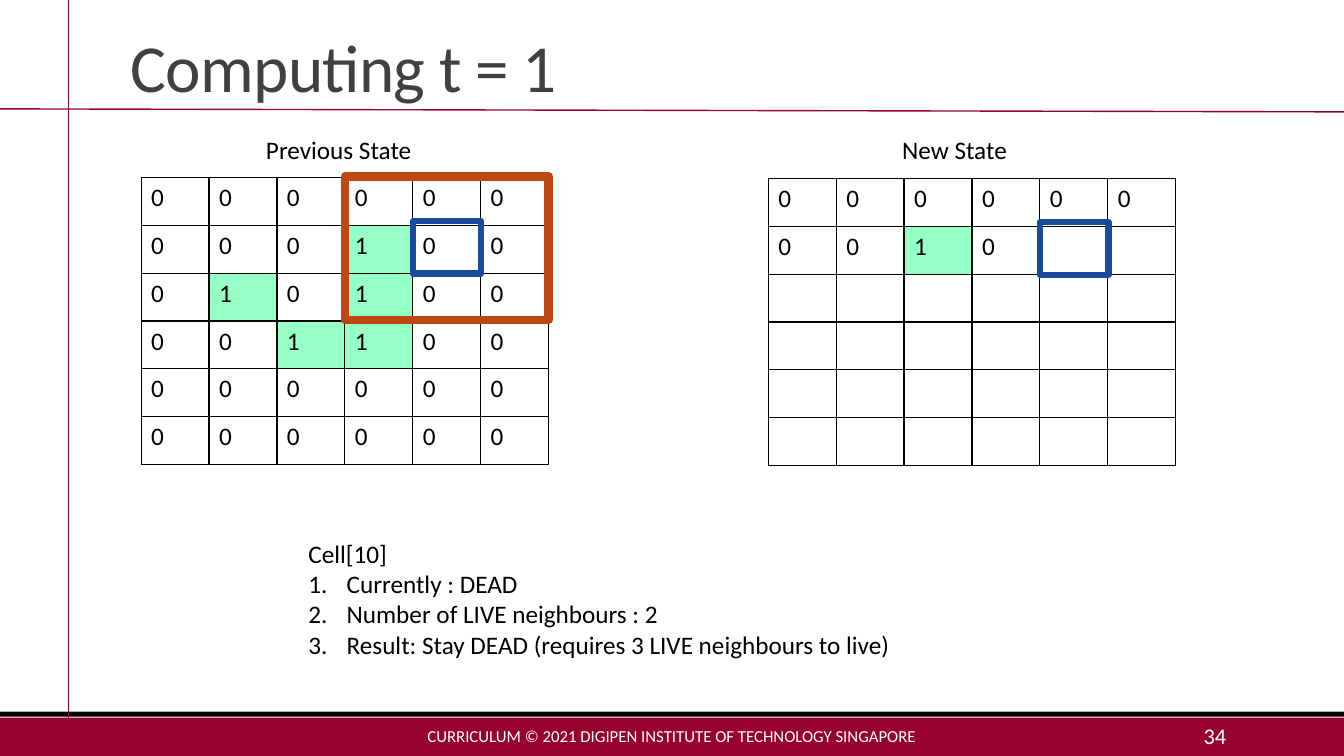
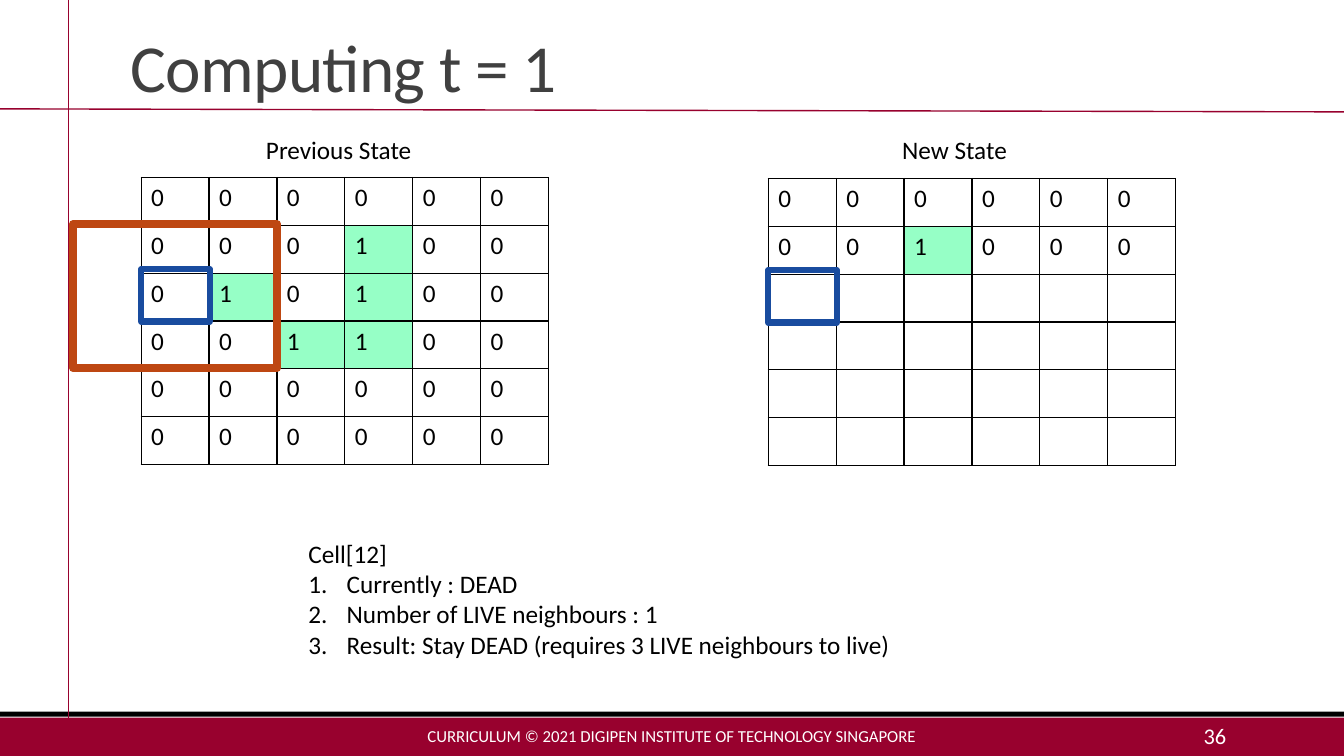
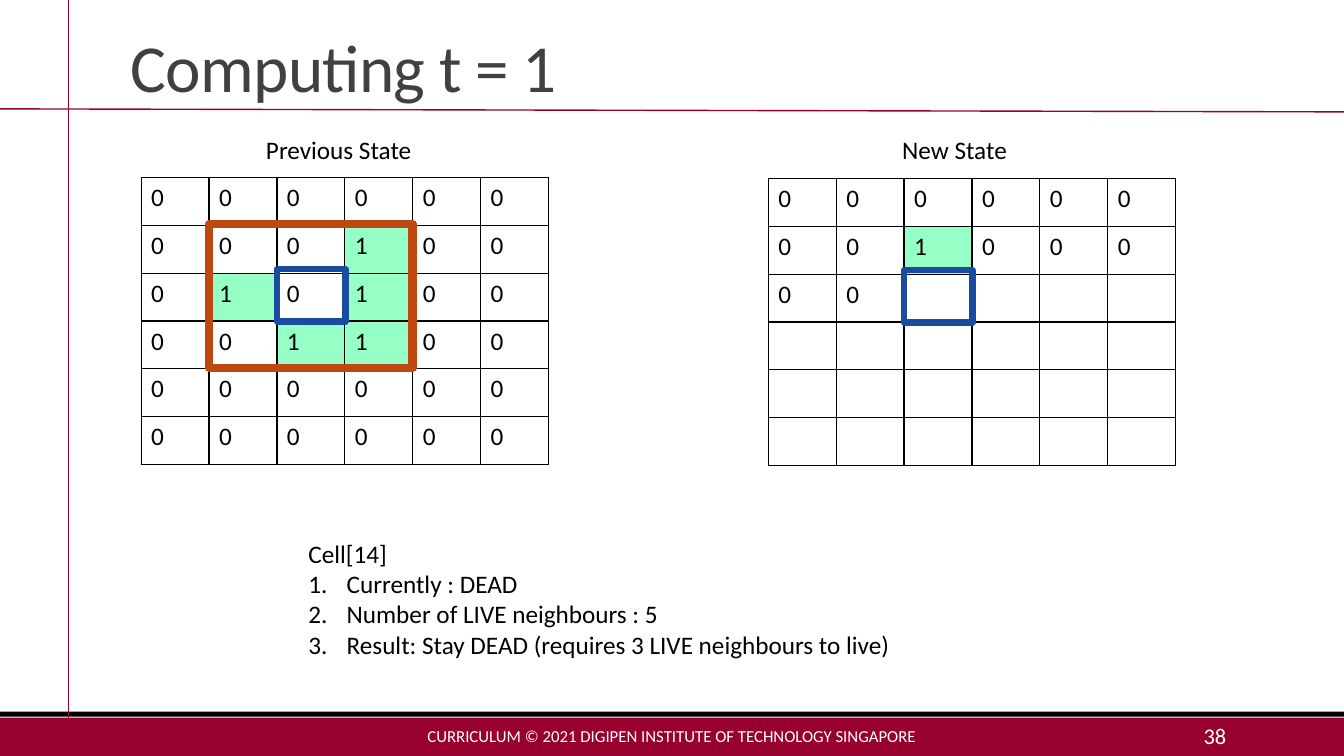
from lxml.etree import SubElement
from pptx import Presentation
from pptx.dml.color import RGBColor
from pptx.enum.shapes import MSO_CONNECTOR, MSO_SHAPE
from pptx.enum.text import MSO_ANCHOR, PP_ALIGN
from pptx.oxml.ns import qn
from pptx.util import Inches, Pt

TITLE = "Computing t = 1"
FOOTER = "CURRICULUM © 2021 DIGIPEN INSTITUTE OF TECHNOLOGY SINGAPORE"
PREVIOUS_STATE = ["000000", "000100", "010100", "001100", "000000", "000000"]
NEW_STATE = "00000000100000"
STEPS = [
    {"page": 34, "cell": 10, "neighbours": 2},
    {"page": 36, "cell": 12, "neighbours": 1},
    {"page": 38, "cell": 14, "neighbours": 5},
]

COLORS = {
    "crimson": "98012E",
    "black": "000000",
    "white": "FFFFFF",
    "title": "404040",
    "live": "96FFC6",
    "neighbourhood": "BE4712",
    "current": "194C9F",
}
FONT = "Calibri"
WIDTH, HEIGHT = 13.33, 7.5
SIZE = 6
GRID_WIDTH, GRID_HEIGHT = 4.04, 2.85
COLUMN, ROW = GRID_WIDTH / SIZE, GRID_HEIGHT / SIZE
PREVIOUS_GRID = (1.4, 1.76)
NEW_GRID = (7.62, 1.77)
FOOTER_TOP = 7.12


def color(name):
    return RGBColor.from_string(COLORS[name])


def add_run(paragraph, text, size, name="black"):
    run = paragraph.add_run()
    run.text = text
    run.font.size = Pt(size)
    run.font.name = FONT
    run.font.color.rgb = color(name)
    return run


def add_text(slide, box, lines, size, name="black", align=PP_ALIGN.LEFT,
             anchor=MSO_ANCHOR.TOP):
    frame = slide.shapes.add_textbox(*map(Inches, box)).text_frame
    frame.word_wrap = True
    frame.vertical_anchor = anchor
    for index, line in enumerate(lines):
        paragraph = frame.add_paragraph() if index else frame.paragraphs[0]
        paragraph.alignment = align
        add_run(paragraph, line, size, name)
    return frame


def add_rectangle(slide, box, fill=None, outline=None, weight=0):
    shape = slide.shapes.add_shape(MSO_SHAPE.RECTANGLE, *map(Inches, box))
    shape.shadow.inherit = False
    if fill:
        shape.fill.solid()
        shape.fill.fore_color.rgb = color(fill)
    else:
        shape.fill.background()
    if outline:
        shape.line.color.rgb = color(outline)
        shape.line.width = Pt(weight)
    else:
        shape.line.fill.background()


def add_rule(slide, *ends):
    rule = slide.shapes.add_connector(MSO_CONNECTOR.STRAIGHT, *map(Inches, ends))
    rule.line.color.rgb = color("crimson")
    rule.line.width = Pt(1)
    SubElement(rule._element.spPr, qn("a:effectLst"))


def add_frame(slide, page):
    add_rectangle(slide, (0, FOOTER_TOP, WIDTH, HEIGHT - FOOTER_TOP), "crimson")
    add_rectangle(slide, (0, 7.06, WIDTH, 0.05), "black")
    add_rule(slide, 0.68, 0, 0.68, FOOTER_TOP)
    add_rule(slide, 0, 1.08, WIDTH, 1.11)
    title = add_text(slide, (1.2, 0.16, 11, 0.94), [TITLE], 48, "title",
                     anchor=MSO_ANCHOR.BOTTOM).paragraphs[0]
    title.line_spacing = 0.85
    title.runs[0]._r.get_or_add_rPr().set("spc", "-50")
    add_text(slide, (4.03, 7.1, 5.27, 0.4), [FOOTER], 12, "white",
             PP_ALIGN.CENTER, MSO_ANCHOR.MIDDLE)
    add_text(slide, (10.83, 7.1, 1.43, 0.4), [str(page)], 16, "white",
             PP_ALIGN.RIGHT, MSO_ANCHOR.MIDDLE)


def add_borders(cell):
    properties = cell._tc.get_or_add_tcPr()
    for side in ("lnL", "lnR", "lnT", "lnB"):
        line = SubElement(properties, qn(f"a:{side}"), w=str(Pt(1)))
        fill = SubElement(line, qn("a:solidFill"))
        SubElement(fill, qn("a:srgbClr"), val=COLORS["black"])


def add_grid(slide, origin, values, dead_fill=None):
    table = slide.shapes.add_table(
        SIZE, SIZE, *map(Inches, (*origin, GRID_WIDTH, GRID_HEIGHT))).table
    table.first_row = False
    table.horz_banding = False
    for column in table.columns:
        column.width = Inches(COLUMN)
    for row in table.rows:
        row.height = Inches(ROW)
    for cell, value in zip(table.iter_cells(), values.ljust(SIZE * SIZE)):
        add_borders(cell)
        fill = "live" if value == "1" else dead_fill
        if fill:
            cell.fill.solid()
            cell.fill.fore_color.rgb = color(fill)
        else:
            cell.fill.background()
        paragraph = cell.text_frame.paragraphs[0]
        if value.strip():
            add_run(paragraph, value, 18)
        else:
            paragraph.font.size = Pt(18)


def mark_current(slide, origin, row, column):
    left, top = origin
    add_rectangle(slide, (left + column * COLUMN, top + row * ROW - 0.04, 0.68, 0.52),
                  outline="current", weight=4.5)


def mark_neighbourhood(slide, row, column):
    left, top = PREVIOUS_GRID
    add_rectangle(slide, (left + (column - 1) * COLUMN, top + (row - 1) * ROW - 0.01,
                          3 * COLUMN, 3 * ROW), outline="neighbourhood", weight=6)


def add_explanation(slide, cell, neighbours):
    lines = [
        f"Cell[{cell}]",
        "Currently : DEAD",
        f"Number of LIVE neighbours : {neighbours}",
        "Result: Stay DEAD (requires 3 LIVE neighbours to live)",
    ]
    frame = add_text(slide, (2.96, 5.29, 7.65, 1.31), lines, 18)
    for paragraph in frame.paragraphs[1:]:
        properties = paragraph._p.get_or_add_pPr()
        properties.set("marL", str(Inches(0.38)))
        properties.set("indent", str(-Inches(0.38)))
        SubElement(properties, qn("a:buAutoNum"), type="arabicPeriod")


def add_step(presentation, page, cell, neighbours):
    slide = presentation.slides.add_slide(presentation.slide_layouts[6])
    row, column = divmod(cell, SIZE)
    add_frame(slide, page)
    add_grid(slide, PREVIOUS_GRID, "".join(PREVIOUS_STATE))
    add_explanation(slide, cell, neighbours)
    add_grid(slide, NEW_GRID, NEW_STATE[:cell], "white")
    mark_neighbourhood(slide, row, column)
    for left, label in ((2.54, "Previous State"), (8.85, "New State")):
        add_text(slide, (left, 1.28, 1.76, 0.4), [label], 18)
    for origin in (PREVIOUS_GRID, NEW_GRID):
        mark_current(slide, origin, row, column)


def main():
    presentation = Presentation()
    presentation.slide_width = Inches(WIDTH)
    presentation.slide_height = Inches(HEIGHT)
    for step in STEPS:
        add_step(presentation, **step)
    presentation.save("out.pptx")


if __name__ == "__main__":
    main()
